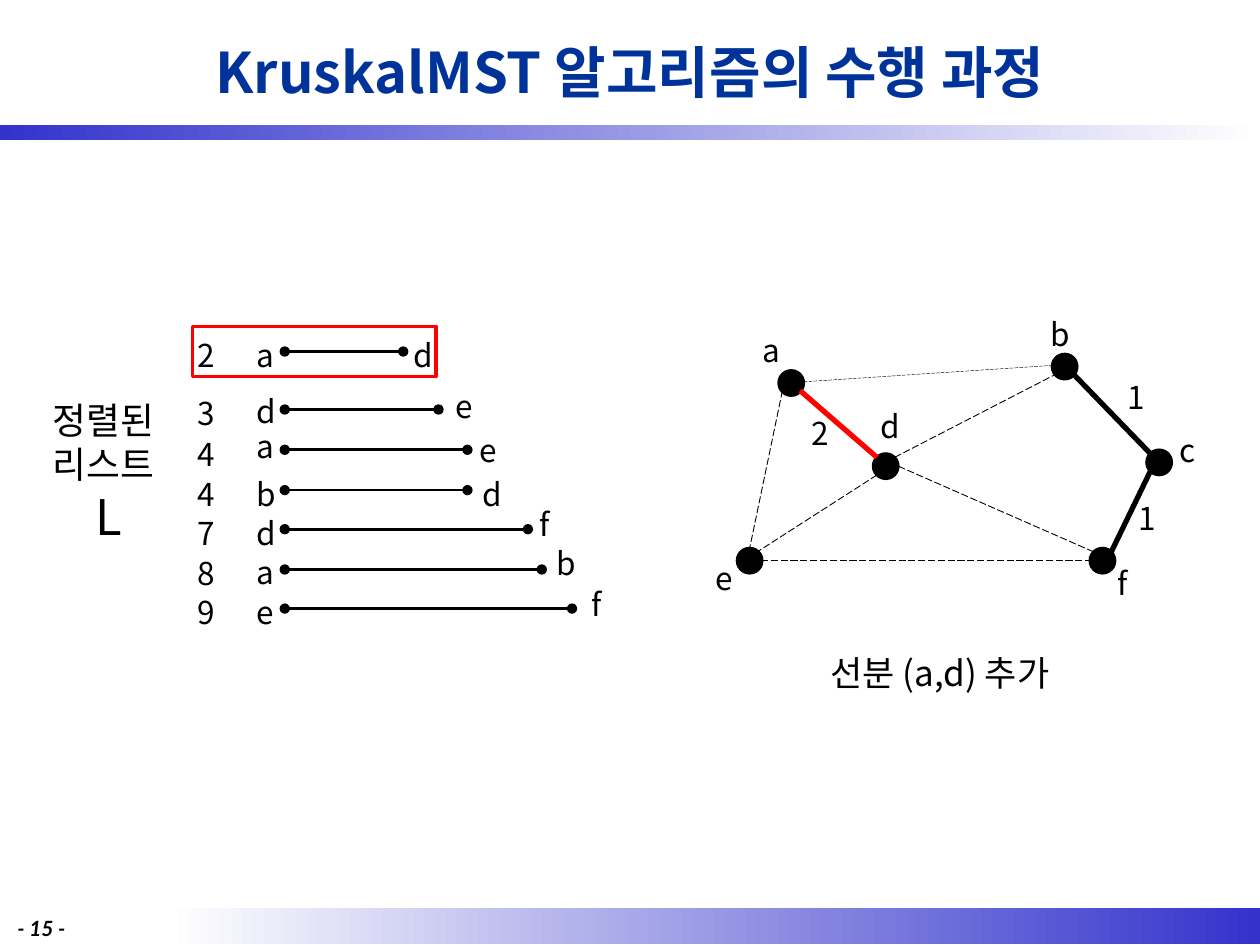
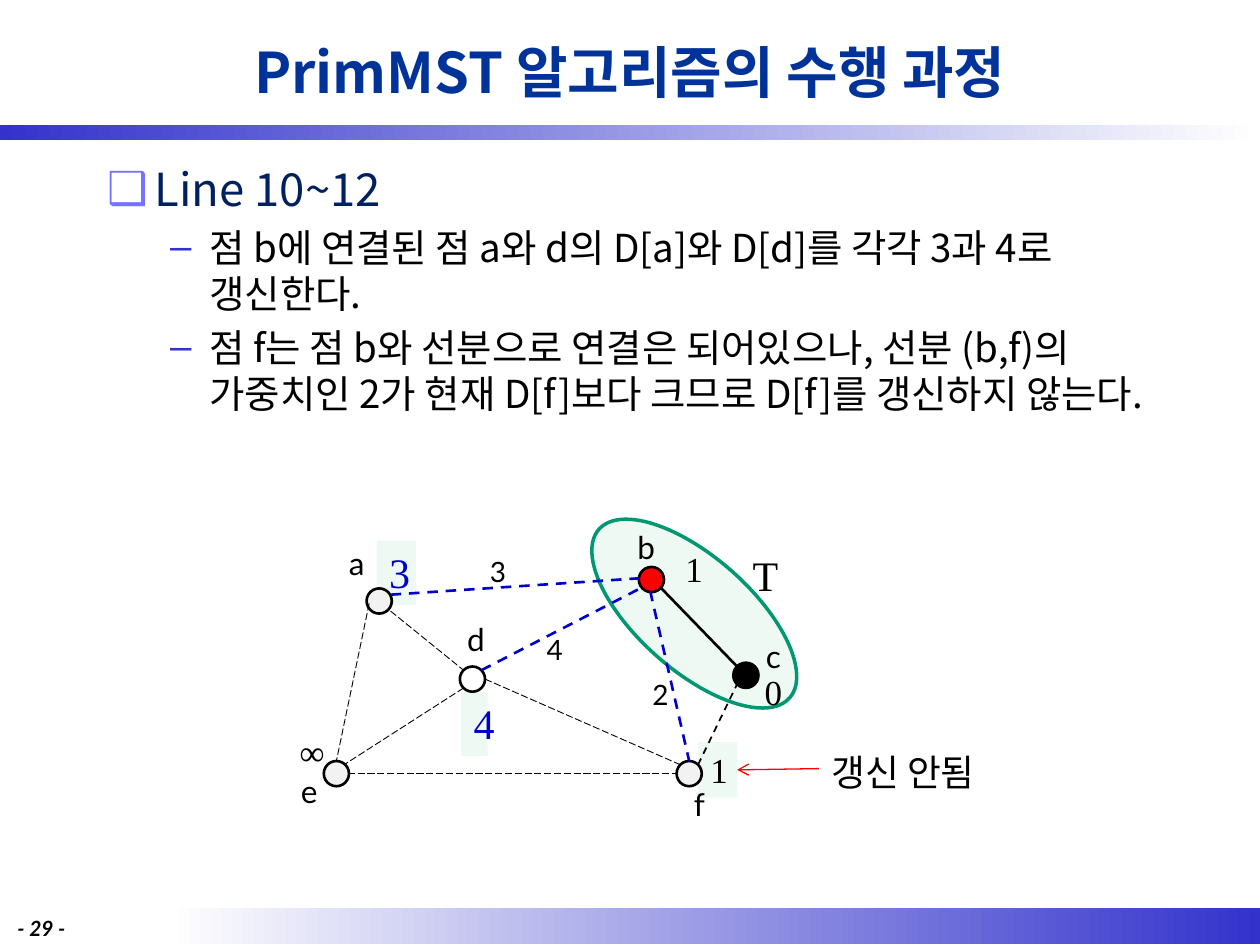
"""Builds two slides that trace the Kruskal and Prim spanning tree algorithms."""
from lxml.etree import SubElement
from pptx import Presentation
from pptx.dml.color import RGBColor
from pptx.enum.dml import MSO_LINE
from pptx.enum.shapes import MSO_CONNECTOR, MSO_SHAPE
from pptx.enum.text import MSO_ANCHOR, MSO_AUTO_SIZE, PP_ALIGN
from pptx.oxml.ns import qn
from pptx.util import Pt

PX = 9144
SANS, LATO, SERIF = "Noto Sans CJK KR", "Lato", "Times New Roman"
COLORS = {name: RGBColor.from_string(value) for name, value in {
    "title": "003399", "band": "3333CC", "heading": "002060", "box": "7373FF",
    "black": "000000", "white": "FFFFFF", "red": "FF0000", "blue": "0000CC",
    "mint": "EEF9F4", "green": "009771", "grey": "F2F2F2"}.items()}


def write(paragraph, words, size, color="black", font=SANS, bold=False, italic=False):
    run = paragraph.add_run()
    run.text = words
    run.font.size, run.font.name = Pt(size), font
    run.font.bold, run.font.italic = bold, italic
    run.font.color.rgb = COLORS[color]
    SubElement(run.font._element, qn("a:ea"), typeface=SANS)


def draw_line(slide, ends, color="black", width=1.5, dash=None, head=None, tail=None):
    line = slide.shapes.add_connector(MSO_CONNECTOR.STRAIGHT, *[v * PX for v in ends])
    line.line.color.rgb = COLORS[color]
    line.line.width = Pt(width)
    if dash:
        line.line.dash_style = dash
    outline = line.line._get_or_add_ln()
    for tag, kind in (("a:headEnd", head), ("a:tailEnd", tail)):
        if kind:
            SubElement(outline, qn(tag), type=kind)
    SubElement(line._element.spPr, qn("a:effectLst"))


prs = Presentation()
prs.slide_width, prs.slide_height = 1000 * PX, 750 * PX

slides = []
for layout, heading, page in ((5, "KruskalMST 알고리즘의 수행 과정", "- 15 -"),
                              (1, "PrimMST 알고리즘의 수행 과정", "- 29 -")):
    slide = prs.slides.add_slide(prs.slide_layouts[layout])
    slides.append(slide)
    for box, fade in (((133, 721, 867, 28), ("white", "band")),
                      ((0, 99, 1000, 12), ("band", "white"))):
        band = slide.shapes.add_shape(MSO_SHAPE.RECTANGLE, *[v * PX for v in box])
        band.shadow.inherit = False
        band.line.fill.background()
        band.fill.gradient()
        band.fill.gradient_angle = 0
        for stop, color in zip(band.fill.gradient_stops, fade):
            stop.color.rgb = COLORS[color]
    title = slide.shapes.title
    title.left, title.top, title.width, title.height = [v * PX for v in (75, 5, 850, 103)]
    title.text_frame.auto_size = MSO_AUTO_SIZE.NONE
    title.text_frame.vertical_anchor = MSO_ANCHOR.MIDDLE
    title.text_frame.paragraphs[0].alignment = PP_ALIGN.CENTER
    write(title.text_frame.paragraphs[0], heading, 32, "title", bold=True)
    number = slide.shapes.add_textbox(*[v * PX for v in (4, 722, 71, 24)])
    write(number.text_frame.paragraphs[0], page, 12, font=LATO, bold=True, italic=True)

kruskal, prim = slides

body = prim.placeholders[1]
body.left, body.top, body.width, body.height = [v * PX for v in (75, 123, 850, 598)]
body.text_frame.auto_size = MSO_AUTO_SIZE.NONE
steps = [
    (0, "Line 10~12", 26, "heading", "❑", "box"),
    (1, "점 b에 연결된 점 a와 d의 D[a]와 D[d]를 각각 3과 4로 갱신한다.", 22, "black", "–", "band"),
    (1, "점 f는 점 b와 선분으로 연결은 되어있으나, 선분 (b,f)의 가중치인 2가 "
        "현재 D[f]보다 크므로 D[f]를 갱신하지 않는다.", 22, "black", "–", "band")]
for index, (level, words, size, color, bullet, bullet_color) in enumerate(steps):
    step = body.text_frame.add_paragraph() if index else body.text_frame.paragraphs[0]
    step.level = level
    properties = step._p.get_or_add_pPr()
    tint = SubElement(properties, qn("a:buClr"))
    SubElement(tint, qn("a:srgbClr"), val=str(COLORS[bullet_color]))
    SubElement(properties, qn("a:buChar"), char=bullet)
    write(step, words, size, color)

tree = prim.shapes.add_shape(MSO_SHAPE.OVAL, *[v * PX for v in (450, 442, 202, 90)])
tree.rotation = 41.5
tree.shadow.inherit = False
tree.fill.solid()
tree.fill.fore_color.rgb = COLORS["mint"]
tree.line.color.rgb = COLORS["green"]
tree.line.width = Pt(2)

distances = [("3", 299, 429, 31, 51, 24, "blue"), ("1", 554, 589, 31, 44, 20, "black"),
             ("4", 366, 549, 21, 51, 24, "blue")]
for words, x, y, w, h, size, color in distances:
    distance = prim.shapes.add_textbox(x * PX, y * PX, w * PX, h * PX)
    distance.fill.solid()
    distance.fill.fore_color.rgb = COLORS["mint"]
    distance.text_frame.word_wrap = True
    distance.text_frame.auto_size = MSO_AUTO_SIZE.SHAPE_TO_FIT_TEXT
    distance.text_frame.paragraphs[0].alignment = PP_ALIGN.CENTER
    write(distance.text_frame.paragraphs[0], words, size, color, SERIF)

nodes = {"a": (618, 294), "b": (835, 281), "c": (910, 357),
         "d": (693, 360), "e": (585, 435), "f": (865, 435)}
edges = {"ad": (635, 310, 696, 363), "de": (696, 377, 601, 438), "ae": (621, 310, 595, 435),
         "df": (713, 370, 868, 438), "ef": (604, 445, 865, 445), "ab": (638, 303, 835, 290),
         "bd": (710, 363, 838, 297), "bc": (913, 360, 852, 297), "cf": (882, 438, 913, 374)}
prim_nodes = nodes | {"a": (619, 298)}
prim_edges = edges | {"ad": (638, 316, 696, 363), "bf": (844, 300, 875, 435)}
thin = ("black", 0.5, MSO_LINE.LONG_DASH)
chosen = ("black", 3)
updated = ("blue", 1.5, MSO_LINE.DASH)
graphs = [
    (kruskal, 0, 0, nodes, edges, {},
     {"ad": ("red", 3), "bc": chosen, "cf": chosen, "ab": ("black", 0.25, MSO_LINE.LONG_DASH)}),
    (prim, -328, 169, prim_nodes, prim_edges,
     {"a": "grey", "b": "red", "d": "white", "e": "grey", "f": "grey"},
     {"ab": updated, "bd": updated, "bf": updated, "bc": ("black", 1.5),
      "cf": ("black", 1, MSO_LINE.DASH)})]
for slide, dx, dy, places, links, fills, strokes in graphs:
    for name, (x, y) in places.items():
        node = slide.shapes.add_shape(MSO_SHAPE.OVAL, (x + dx) * PX, (y + dy) * PX, 20 * PX, 20 * PX)
        node.shadow.inherit = False
        node.fill.solid()
        node.fill.fore_color.rgb = COLORS[fills.get(name, "black")]
        node.line.color.rgb = COLORS["black"]
        node.line.width = Pt(1.5)
    for name, (x1, y1, x2, y2) in links.items():
        draw_line(slide, (x1 + dx, y1 + dy, x2 + dx, y2 + dy), *strokes.get(name, thin))

draw_line(prim, (650, 610, 585, 611), "red", 0.75, tail="arrow")

kruskal_labels = [("a", 595, 258), ("b", 824, 245), ("c", 926, 337), ("d", 689, 318),
                  ("e", 558, 439), ("f", 877, 443), ("1", 885, 295), ("1", 894, 391),
                  ("2", 634, 324)]
sorted_edges = [("2", "a", "d", 279, 320, 262, 318, 262), ("3", "d", "e", 325, 348, 306, 352, 302),
                ("4", "a", "e", 357, 371, 334, 371, 337), ("4", "b", "d", 389, 371, 372, 373, 372),
                ("7", "d", "f", 420, 419, 403, 418, 396), ("8", "a", "b", 452, 430, 434, 432, 427),
                ("9", "e", "f", 483, 454, 466, 460, 459)]
for weight, start, end, y, x_end, y_start, x_label, y_label in sorted_edges:
    draw_line(kruskal, (x_end, y, 226, y), head="oval", tail="oval")
    kruskal_labels += [(weight, 147, y - 17), (start, 194, y_start), (end, x_label, y_label)]

prim_labels = [("a", 267, 427), ("b", 496, 414), ("c", 598, 501), ("d", 361, 487),
               ("e", 229, 608), ("f", 541, 618)]
prim_weights = [("3", 379, 435), ("4", 424, 497), ("2", 508, 533)]
prim_values = [("0", 597, 527), ("∞", 228, 575), ("1", 534, 430)]
label_groups = [(kruskal, kruskal_labels, 34, 40, 18, SANS, PP_ALIGN.LEFT),
                (prim, prim_labels, 34, 40, 18, LATO, PP_ALIGN.LEFT),
                (prim, prim_weights, 32, 37, 16, LATO, PP_ALIGN.LEFT),
                (prim, prim_values, 31, 44, 20, SERIF, PP_ALIGN.CENTER),
                (prim, [("T", 580, 431)], 55, 50, 24, SERIF, PP_ALIGN.CENTER),
                (prim, [("갱신 안됨", 650, 590)], 173, 40, 21, SERIF, PP_ALIGN.LEFT),
                (kruskal, [("선분 (a,d) 추가", 649, 512)], 216, 44, 20, SANS, PP_ALIGN.LEFT)]
for slide, labels, w, h, size, font, alignment in label_groups:
    for words, x, y in labels:
        label = slide.shapes.add_textbox(x * PX, y * PX, w * PX, h * PX)
        label.text_frame.word_wrap = w > 50
        label.text_frame.auto_size = MSO_AUTO_SIZE.SHAPE_TO_FIT_TEXT
        label.text_frame.paragraphs[0].alignment = alignment
        write(label.text_frame.paragraphs[0], words, size, font=font)

list_name = kruskal.shapes.add_textbox(32 * PX, 311 * PX, 109 * PX, 128 * PX)
list_name.text_frame.word_wrap = True
list_name.text_frame.auto_size = MSO_AUTO_SIZE.SHAPE_TO_FIT_TEXT
write(list_name.text_frame.paragraphs[0], "정렬된 리스트", 21)
symbol = list_name.text_frame.add_paragraph()
symbol.alignment = PP_ALIGN.CENTER
write(symbol, "L", 28)

current = kruskal.shapes.add_shape(MSO_SHAPE.RECTANGLE, *[v * PX for v in (153, 259, 193, 40)])
current.shadow.inherit = False
current.fill.background()
current.line.color.rgb = COLORS["red"]
current.line.width = Pt(2)

prs.save("out.pptx")
